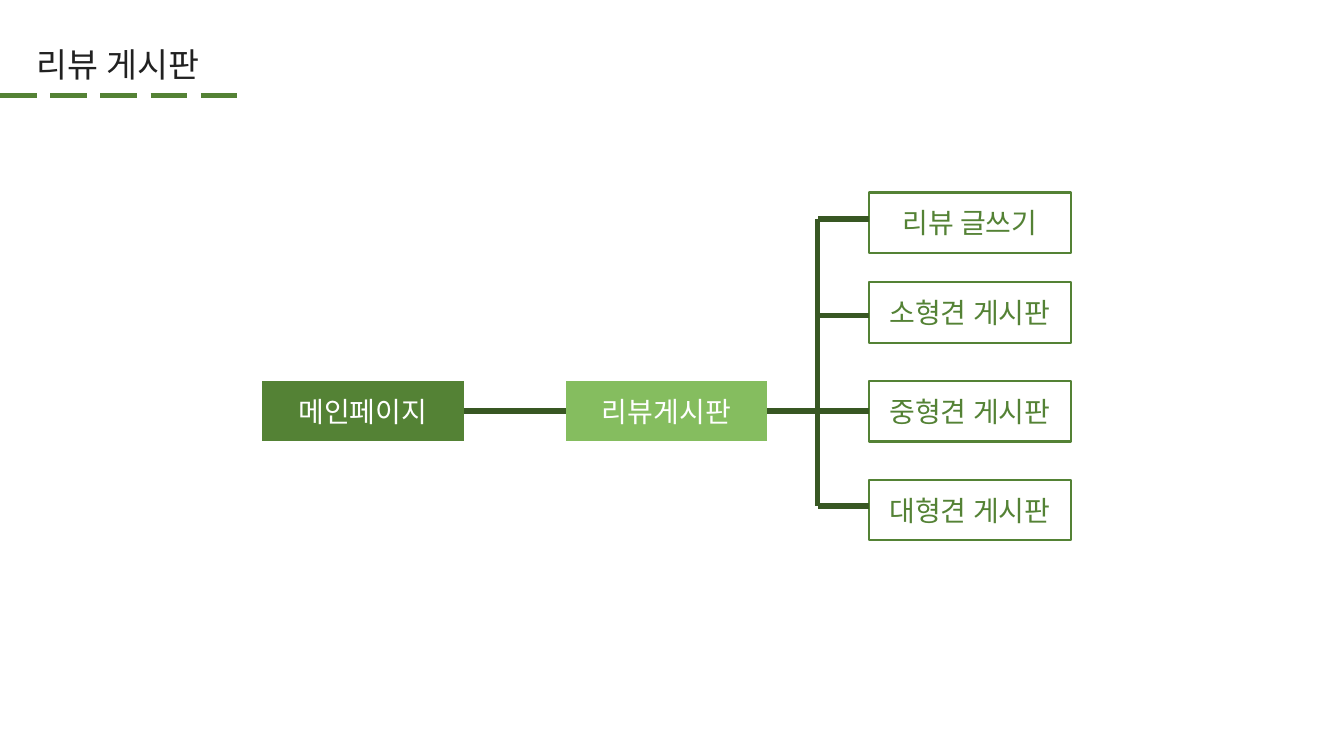
import pptx
import pptx.util
import pptx.dml.color
import pptx.enum.dml
import pptx.enum.shapes
import pptx.enum.text
import pptx.oxml.ns
import lxml.etree

Inches = pptx.util.Inches
Pt = pptx.util.Pt
RGBColor = pptx.dml.color.RGBColor
qn = pptx.oxml.ns.qn

GREEN = RGBColor(0x54, 0x82, 0x35)
LIGHT = RGBColor(0x85, 0xBD, 0x5F)
DARK = RGBColor(0x38, 0x57, 0x23)
INK = RGBColor(0x21, 0x21, 0x21)
WHITE = RGBColor(0xFF, 0xFF, 0xFF)
FONT = "Noto Sans CJK KR"

WIDE, HIGH = 13.33, 7.5
STEP = 3.01
NODE_W, NODE_H = 2, 0.6
LEAVES = [
    ("리뷰 글쓰기", 0, 0.26),
    ("소형견 게시판", 0.89, 1.22),
    ("중형견 게시판", 1.87, None),
    ("대형견 게시판", 2.85, 3.11),
]


def write(shape, text, size, color, align):
    """Put one styled paragraph into a shape."""
    frame = shape.text_frame
    frame.word_wrap = True
    frame.vertical_anchor = pptx.enum.text.MSO_ANCHOR.MIDDLE
    para = frame.paragraphs[0]
    para.text = text
    para.alignment = align
    para.font.size = Pt(size)
    para.font.name = FONT
    para.font.color.rgb = color
    props = para._p.pPr.find(qn("a:defRPr"))
    lxml.etree.SubElement(props, qn("a:ea")).set("typeface", FONT)
    return para


def rule(slide, start, end, color=DARK, width=4):
    """Draw a straight line between two points."""
    kind = pptx.enum.shapes.MSO_CONNECTOR.STRAIGHT
    line = slide.shapes.add_connector(kind, *map(Inches, start + end))
    line.line.color.rgb = color
    line.line.width = Pt(width)
    lxml.etree.SubElement(line._element.spPr, qn("a:effectLst"))
    return line


def node(slide, left, top, text, fill=None):
    """Draw a filled node, or an outlined one when no fill is given."""
    kind = pptx.enum.shapes.MSO_SHAPE.FLOWCHART_PROCESS
    shape = slide.shapes.add_shape(kind, *map(Inches, (left, top, NODE_W, NODE_H)))
    shape.shadow.inherit = False
    if fill is None:
        shape.fill.background()
        shape.line.color.rgb = GREEN
        shape.line.width = Pt(1.5)
    else:
        shape.fill.solid()
        shape.fill.fore_color.rgb = fill
        shape.line.fill.background()
    color = GREEN if fill is None else WHITE
    write(shape, text, 20, color, pptx.enum.text.PP_ALIGN.CENTER)
    return shape


def join(slide, right, left):
    """Link the left side of one node to the right side of another."""
    line = rule(slide, (0, 0), (1, 1))
    line.begin_connect(right, 1)
    line.end_connect(left, 3)


def header(slide, left, top, width, height):
    """Place the title with its dashed rule below."""
    title = slide.shapes.title
    title.left, title.top = Inches(left), Inches(top)
    title.width, title.height = Inches(width), Inches(height)
    para = write(title, "리뷰 게시판", 24, INK, pptx.enum.text.PP_ALIGN.LEFT)
    para.line_spacing = 0.9
    base = top + height
    line = rule(slide, (0, base), (width * 2 / 3, base), GREEN, 3.25)
    line.line.dash_style = pptx.enum.dml.MSO_LINE.LONG_DASH


def tree(slide, left, top):
    """Draw the page tree from its top left corner."""
    mid = top + LEAVES[2][1]
    edge = left + 2 * STEP
    trunk = edge - 0.51
    main = node(slide, left, mid, "메인페이지", GREEN)
    board = node(slide, left + STEP, mid, "리뷰게시판", LIGHT)
    join(slide, board, main)
    for text, drop, arm in LEAVES:
        leaf = node(slide, edge, top + drop, text)
        if arm is None:
            join(slide, leaf, board)
        else:
            rule(slide, (edge, top + arm), (trunk, top + arm))
    rule(slide, (trunk, top + LEAVES[-1][2]), (trunk, top + LEAVES[0][2]))


def main():
    """Build and save the slide."""
    deck = pptx.Presentation()
    deck.slide_width, deck.slide_height = Inches(WIDE), Inches(HIGH)
    slide = deck.slides.add_slide(deck.slide_layouts[5])
    header(slide, WIDE * 0.02, HIGH * 0.05, WIDE * 0.28, 0.57)
    tree(slide, 2.6, 1.91)
    deck.save("out.pptx")


if __name__ == "__main__":
    main()
